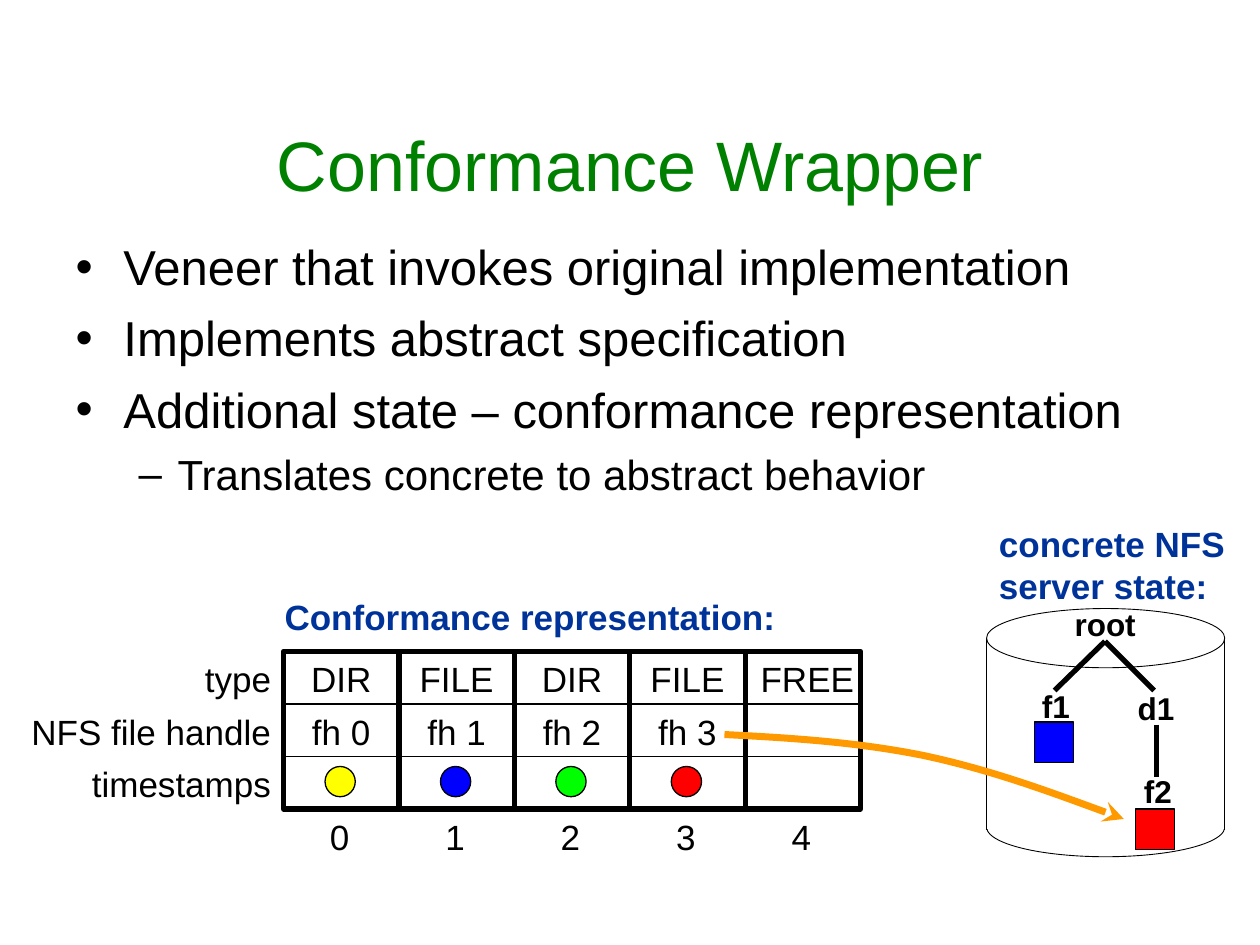
from lxml import etree
from pptx import Presentation
from pptx.dml.color import RGBColor
from pptx.enum.shapes import MSO_CONNECTOR, MSO_SHAPE
from pptx.enum.text import MSO_ANCHOR, MSO_AUTO_SIZE, PP_ALIGN
from pptx.oxml.ns import qn
from pptx.util import Inches, Pt

LEFT, CENTER, RIGHT = PP_ALIGN.LEFT, PP_ALIGN.CENTER, PP_ALIGN.RIGHT
MIDDLE = MSO_ANCHOR.MIDDLE
NO_FIT, GROW = MSO_AUTO_SIZE.NONE, MSO_AUTO_SIZE.SHAPE_TO_FIT_TEXT
RECT, OVAL = MSO_SHAPE.RECTANGLE, MSO_SHAPE.OVAL
STRAIGHT = MSO_CONNECTOR.STRAIGHT

BLACK, WHITE, NAVY, GREEN, ORANGE = "000000", "FFFFFF", "003399", "008000", "FF9900"
YELLOW, BLUE, LIME, RED = "FFFF00", "0000FF", "00FF00", "FF0000"
TEXT_HEIGHT = 0.44


def color(value):
    """Turn a hex string into a colour."""
    return RGBColor.from_string(value)


def set_all(target, values):
    """Set every attribute named in a dict of format values."""
    for name, value in values.items():
        setattr(target, name, value)


def place(item, box):
    """Move an item to a box given in inches."""
    set_all(item, dict(zip(("left", "top", "width", "height"), map(Inches, box))))


def style_font(font, size, ink, bold=False):
    """Format a font."""
    set_all(font, {"name": "Arial", "size": Pt(size), "bold": bold})
    font.color.rgb = color(ink)


def add_text(shapes, box, lines, size=20, ink=BLACK, bold=False, align=LEFT):
    """Add a text box with one paragraph for each line."""
    frame = shapes.add_textbox(*map(Inches, box)).text_frame
    set_all(frame, {"word_wrap": True, "auto_size": GROW, "text": lines})
    for paragraph in frame.paragraphs:
        paragraph.alignment = align
        style_font(paragraph.runs[0].font, size, ink, bold)


def add_outline(shape, ink, width):
    """Give a shape a plain outline, or none for zero width."""
    shape.shadow.inherit = False
    if width:
        shape.line.color.rgb = color(ink)
        shape.line.width = Pt(width)
    else:
        shape.line.fill.background()


def add_block(shapes, kind, box, fill=None, width=0.75):
    """Add a preset shape with a black outline."""
    block = shapes.add_shape(kind, *map(Inches, box))
    add_outline(block, BLACK, width)
    if fill:
        block.fill.solid()
        block.fill.fore_color.rgb = color(fill)
    else:
        block.fill.background()


def add_line(shapes, start, end, width):
    """Add a straight black line."""
    line = shapes.add_connector(STRAIGHT, *map(Inches, (*start, *end)))
    line.line.color.rgb = color(BLACK)
    line.line.width = Pt(width)
    etree.SubElement(line._element.spPr, qn("a:effectLst"))


def fill_title(title, box):
    """Place and format the title."""
    place(title, box)
    set_all(title.text_frame, {"text": "Conformance Wrapper", "vertical_anchor": MIDDLE,
                               "auto_size": NO_FIT})
    heading = title.text_frame.paragraphs[0]
    heading.alignment = CENTER
    style_font(heading.runs[0].font, 40, GREEN)


def fill_points(body, box):
    """Place and format the bullet list."""
    points = [
        ("Veneer that invokes original implementation", 0),
        ("Implements abstract specification", 0),
        ("Additional state – conformance representation", 0),
        ("Translates concrete to abstract behavior", 1),
    ]
    levels = [("•", 0.38, -0.38, 28, 7), ("–", 0.81, -0.31, 24, 6)]
    place(body, box)
    frame = body.text_frame
    set_all(frame, {"text": "\n".join(text for text, _ in points), "auto_size": NO_FIT})
    for paragraph, (_, level) in zip(frame.paragraphs, points):
        mark, margin, indent, size, before = levels[level]
        set_all(paragraph, {"level": level, "space_before": Pt(before)})
        style_font(paragraph.runs[0].font, size, BLACK)
        properties = paragraph._p.get_or_add_pPr()
        properties.set("marL", str(Inches(margin)))
        properties.set("indent", str(Inches(indent)))
        etree.SubElement(properties, qn("a:buChar")).set("char", mark)


def draw_representation(shapes, box):
    """Draw the grid of the conformance representation with its labels."""
    left, top, width, height = box
    types = ["DIR", "FILE", "DIR", "FILE", "FREE"]
    stamps = [YELLOW, BLUE, LIME, RED]
    labels = ["type", "NFS file handle", "timestamps"]
    column, row, dot = width / len(types), height / len(labels), 0.24
    bottom = top + height

    add_block(shapes, RECT, box, width=3)
    for index, kind in enumerate(types):
        x = left + index * column
        if index:
            add_line(shapes, (x, bottom), (x, top), 3)
        spare = 0.12 if kind == "FREE" else 0
        add_text(shapes, (x - spare * 0.7, top, column + spare * 2, TEXT_HEIGHT), kind, align=CENTER)
        add_text(shapes, (x + 0.27, bottom, 0.33, TEXT_HEIGHT), str(index), align=CENTER)
    for index, stamp in enumerate(stamps):
        x = left + index * column
        add_text(shapes, (x, top + row, column, TEXT_HEIGHT), f"fh {index}", align=CENTER)
        add_block(shapes, OVAL, (x + 0.33, top + 2 * row + 0.08, dot, dot), stamp)
    for index, label in enumerate(labels):
        y = top + index * row
        if index:
            add_line(shapes, (left, y), (left + width, y), 0.75)
        add_text(shapes, (left - 2.5, y, 2.5, TEXT_HEIGHT), label, align=RIGHT)


def draw_server_state(shapes, box):
    """Draw the cylinder that holds the file tree of the server."""
    left, top, width, height = box
    cap = 0.47
    shoulder, foot = top + cap / 2, top + height - cap / 2 + 0.02
    root = (left + 0.94, top + 0.26)

    add_block(shapes, OVAL, (left, top + height - cap, width, cap), width=0.5)
    add_block(shapes, RECT, (left, top + 0.25, width + 0.02, 1.5), WHITE, width=0)
    add_block(shapes, OVAL, (left, top, width, cap), width=0.5)
    for x in (left, left + width):
        add_line(shapes, (x, shoulder), (x, foot), 0.5)
    for side in (-0.4, 0.39):
        add_line(shapes, root, (root[0] + side, root[1] + 0.39), 3)
    add_line(shapes, (left + 1.35, top + 0.92), (left + 1.35, top + 1.34), 3)
    for x, y, fill in ((0.38, 0.9, BLUE), (1.18, 1.59, RED)):
        add_block(shapes, RECT, (left + x, top + y, 0.31, 0.32), fill)
    nodes = [("root", 0.6, -0.08, 0.78), ("f1", 0.34, 0.57, 0.48),
             ("d1", 1.1, 0.59, 0.55), ("f2", 1.15, 1.25, 0.48)]
    for name, x, y, room in nodes:
        add_text(shapes, (left + x, top + y, room, 0.4), name, 18, bold=True)


def draw_handle_arrow(shapes, box):
    """Draw the curved arrow from a file handle to its file."""
    left, top, width, height = box
    bends = [(0, 0), (1 / 6, 0.04), (1 / 3, 0.09), (0.5, 0.25),
             (2 / 3, 0.42), (5 / 6, 0.71), (1, 1)]
    start, *rest = [(Inches(left + x * width), Inches(top + y * height)) for x, y in bends]
    builder = shapes.build_freeform(*start)
    builder.add_line_segments(rest, close=False)
    arrow = builder.convert_to_shape()
    arrow.fill.background()
    add_outline(arrow, ORANGE, 4)
    steps = list(arrow._element.iter(qn("a:lnTo")))
    outline = steps[0].getparent()
    for first in range(0, len(steps), 3):
        curve = etree.SubElement(outline, qn("a:cubicBezTo"))
        for step in steps[first:first + 3]:
            curve.append(step[0])
            outline.remove(step)
    etree.SubElement(arrow.line._get_or_add_ln(), qn("a:tailEnd")).set("type", "stealth")


def main():
    """Build the slide and save it."""
    deck = Presentation()
    set_all(deck, {"slide_width": Inches(10), "slide_height": Inches(7.5)})
    slide = deck.slides.add_slide(deck.slide_layouts[1])
    shapes = slide.shapes
    fill_title(shapes.title, (0.75, 0.67, 8.5, 1.25))
    fill_points(slide.placeholders[1], (0.5, 1.83, 8.92, 4.5))
    draw_representation(shapes.add_group_shape().shapes, (2.25, 5.17, 4.58, 1.25))
    draw_server_state(shapes.add_group_shape().shapes, (7.83, 4.83, 1.89, 1.97))
    draw_handle_arrow(shapes, (5.75, 5.83, 3.17, 0.67))
    add_text(shapes, (7.83, 4.1, 2.1, 0.77), "concrete NFS\nserver state:", ink=NAVY, bold=True)
    add_text(shapes, (2.16, 4.68, 4.25, TEXT_HEIGHT), "Conformance representation:",
             ink=NAVY, bold=True)
    deck.save("out.pptx")


if __name__ == "__main__":
    main()
